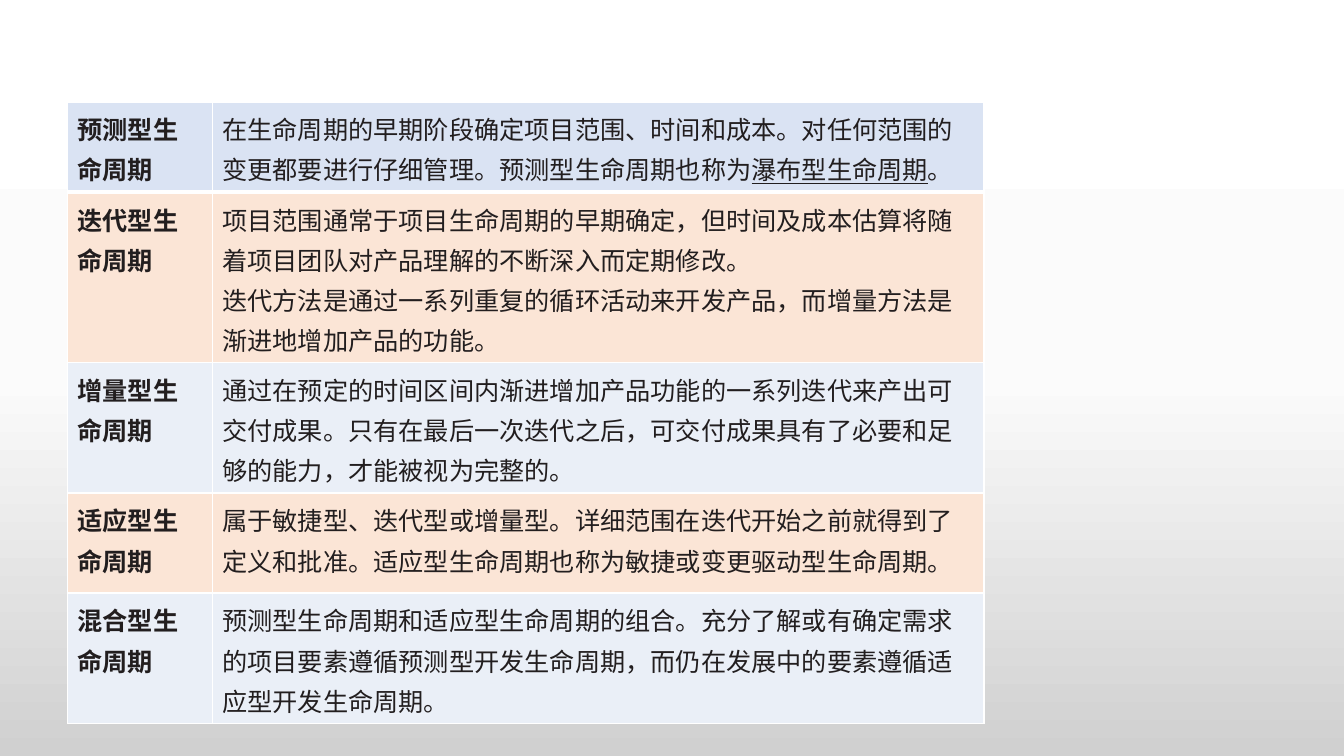
from copy import deepcopy

from pptx import Presentation
from pptx.dml.color import RGBColor
from pptx.oxml import parse_xml
from pptx.oxml.ns import nsdecls
from pptx.util import Cm, Pt

FONT = "Noto Sans CJK SC"
COLORS = {
    "text": "221E1F",
    "border": "FFFFFF",
    "blue": "DAE3F3",
    "orange": "FBE5D6",
    "pale": "EAEFF7",
}
BACKGROUND_STOPS = [(0, "FFFFFF"), (0.5, "FBFBFB"), (1, "D0D0D0")]
COLUMN_WIDTHS = [3.65, 19.45]

# Row height, fill, name, description paragraphs; each paragraph lists (text, underline)
LIFE_CYCLES = [
    (1.93, "blue", "预测型生命周期", [
        [("在生命周期的早期阶段确定项目范围、时间和成本。对任何范围的变更都要进行仔细管理。"
          "预测型生命周期也称为", False),
         ("瀑布型生命周期", True),
         ("。", False)]]),
    (3.61, "orange", "迭代型生命周期", [
        [("项目范围通常于项目生命周期的早期确定，但时间及成本估算将随着项目团队对产品理解的"
          "不断深入而定期修改。", False)],
        [("迭代方法是通过一系列重复的循环活动来开发产品，而增量方法是渐进地增加产品的功能。", False)]]),
    (2.77, "pale", "增量型生命周期", [
        [("通过在预定的时间区间内渐进增加产品功能的一系列迭代来产出可交付成果。"
          "只有在最后一次迭代之后，可交付成果具有了必要和足够的能力，才能被视为完整的。", False)]]),
    (2.52, "orange", "适应型生命周期", [
        [("属于敏捷型、迭代型或增量型。详细范围在迭代开始之前就得到了定义和批准。"
          "适应型生命周期也称为敏捷或变更驱动型生命周期。", False)]]),
    (2.77, "pale", "混合型生命周期", [
        [("预测型生命周期和适应型生命周期的组合。充分了解或有确定需求的项目要素遵循预测型开发"
          "生命周期，而仍在发展中的要素遵循适应型开发生命周期。", False)]]),
]


def style_cell(cell, fill, bottom_width):
    """Give the cell its borders and then its fill, in schema order."""
    properties = cell._tc.get_or_add_tcPr()
    for side, width in (("L", 1), ("R", 1), ("T", 1), ("B", bottom_width)):
        properties.append(parse_xml(
            f'<a:ln{side} {nsdecls("a")} w="{Pt(width)}"><a:solidFill>'
            f'<a:srgbClr val="{COLORS["border"]}"/></a:solidFill></a:ln{side}>'))
    cell.fill.solid()
    cell.fill.fore_color.rgb = RGBColor.from_string(COLORS[fill])


def write_cell(cell, paragraphs, bold):
    frame = cell.text_frame
    for number, parts in enumerate(paragraphs):
        paragraph = frame.add_paragraph() if number else frame.paragraphs[0]
        paragraph.line_spacing = 1.1
        for text, underline in parts:
            run = paragraph.add_run()
            run.text = text
            text_format = {"name": FONT, "size": Pt(18), "bold": bold, "underline": underline}
            for attribute, value in text_format.items():
                setattr(run.font, attribute, value)
            run.font.color.rgb = RGBColor.from_string(COLORS["text"])
            latin = run._r.rPr.find("{*}latin")
            latin.addnext(parse_xml(f'<a:ea {nsdecls("a")} typeface="{FONT}"/>'))


presentation = Presentation()
presentation.slide_width = Cm(33.87)
presentation.slide_height = Cm(19.05)
slide = presentation.slides.add_slide(presentation.slide_layouts[6])

background = slide.background.fill
background.gradient()
background.gradient_angle = 270
stop_list = slide.element.xpath(".//a:gsLst")[0]
stop_list.append(deepcopy(stop_list[0]))
for stop, (position, color) in zip(background.gradient_stops, BACKGROUND_STOPS):
    stop.position = position
    stop.color.rgb = RGBColor.from_string(color)

table = slide.shapes.add_table(
    len(LIFE_CYCLES), len(COLUMN_WIDTHS), Cm(1.7), Cm(2.57), Cm(23.1), Cm(13.6)).table
table.first_row = False
table.horz_banding = False
for column, width in zip(table.columns, COLUMN_WIDTHS):
    column.width = Cm(width)

for index, (height, fill, name, description) in enumerate(LIFE_CYCLES):
    table.rows[index].height = Cm(height)
    contents = [[[(name, False)]], description]
    for column_index, paragraphs in enumerate(contents):
        cell = table.cell(index, column_index)
        style_cell(cell, fill, bottom_width=1 if index else 3)
        write_cell(cell, paragraphs, bold=column_index == 0)

presentation.save("out.pptx")
